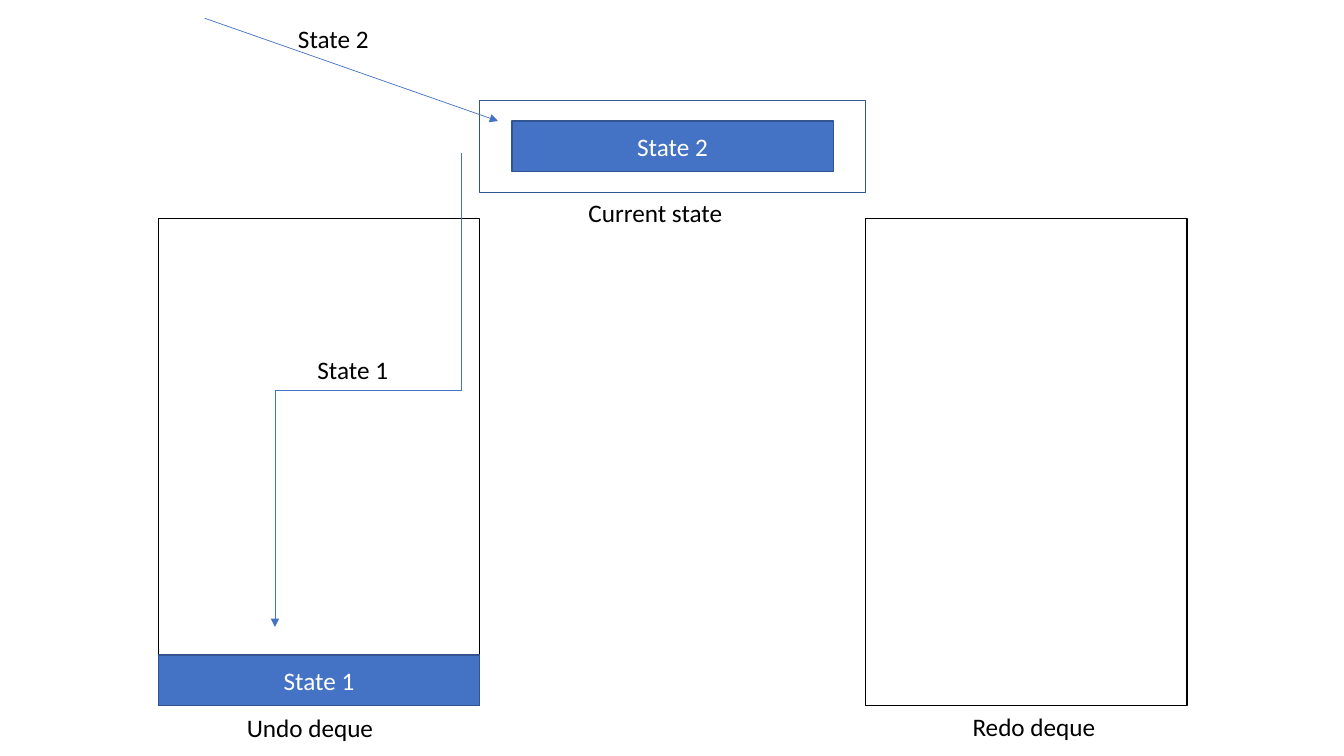
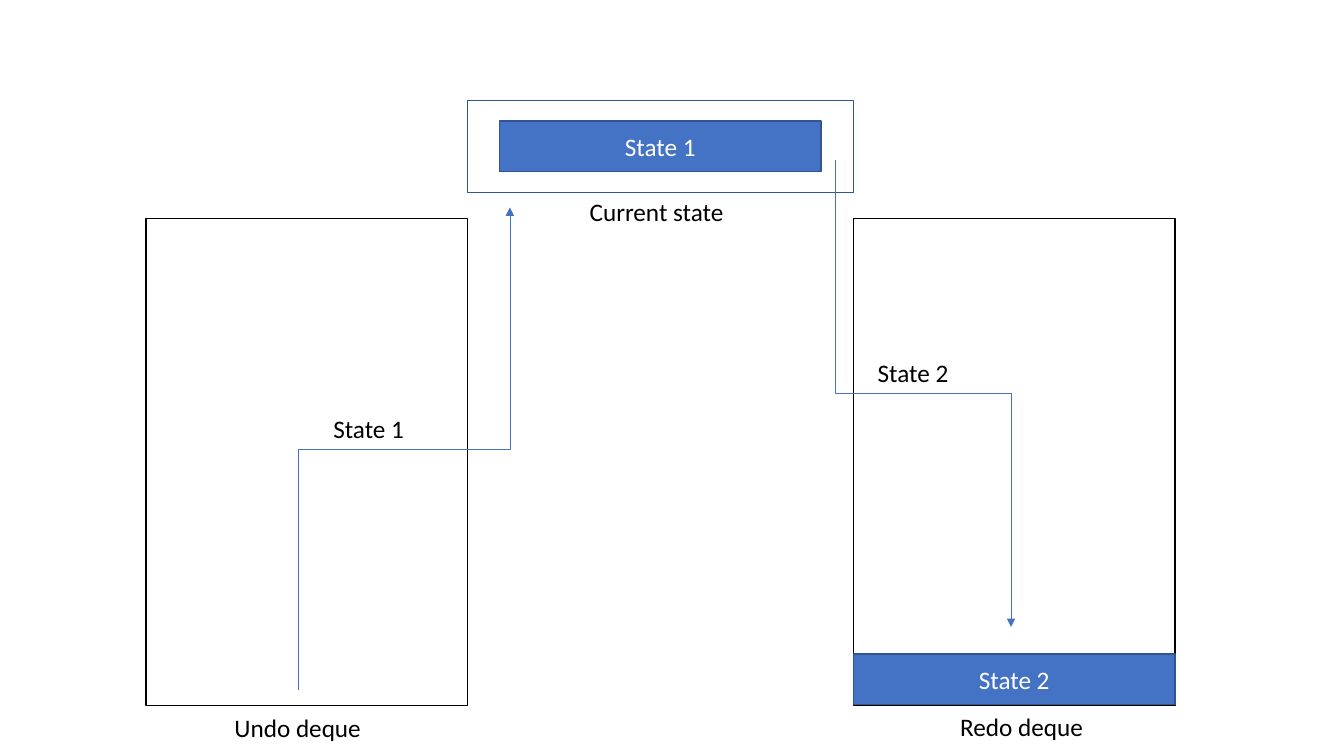
from dataclasses import dataclass

from lxml.etree import SubElement
from pptx import Presentation
from pptx.dml.color import RGBColor
from pptx.enum.shapes import MSO_CONNECTOR, MSO_SHAPE
from pptx.enum.text import MSO_ANCHOR, MSO_AUTO_SIZE, PP_ALIGN
from pptx.oxml.ns import qn
from pptx.util import Cm, Pt


@dataclass(frozen=True)
class Theme:
    """Colours, type and line widths shared by the slides."""
    black: str = "000000"
    white: str = "FFFFFF"
    blue: str = "4472C4"
    navy: str = "325491"
    font: str = "Calibri"
    size: float = 18
    edge: float = 1
    thin: float = 0.5


@dataclass(frozen=True)
class Grid:
    """Sizes and levels of the diagram in centimetres."""
    wide: float = 8.1
    tall: float = 12.27
    top: float = 5.51
    slot: float = 9.73
    inset: float = 0.81
    bar: float = 1.27


THEME = Theme()
GRID = Grid()


def color(code):
    """Turn a hex code into a colour."""
    return RGBColor.from_string(code)


def write(shape, text, ink):
    """Put styled text in a shape."""
    shape.text_frame.text = text
    font = shape.text_frame.paragraphs[0].runs[0].font
    font.name = THEME.font
    font.size = Pt(THEME.size)
    font.color.rgb = color(ink)


def add_box(slide, left, top, width, height, line, fill=None):
    """Draw a rectangle with an outline and an optional fill."""
    box = slide.shapes.add_shape(
        MSO_SHAPE.RECTANGLE, Cm(left), Cm(top), Cm(width), Cm(height))
    box.shadow.inherit = False
    if fill:
        box.fill.solid()
        box.fill.fore_color.rgb = color(fill)
    else:
        box.fill.background()
    box.line.color.rgb = color(line)
    box.line.width = Pt(THEME.edge)
    return box


def add_state(slide, left, top, text):
    """Draw a filled bar that holds a state."""
    bar = add_box(slide, left, top, GRID.wide, GRID.bar, THEME.navy, THEME.blue)
    write(bar, text, THEME.white)
    bar.text_frame.vertical_anchor = MSO_ANCHOR.MIDDLE
    bar.text_frame.paragraphs[0].alignment = PP_ALIGN.CENTER


def add_label(slide, left, top, text):
    """Write a plain label."""
    label = slide.shapes.add_textbox(Cm(left), Cm(top), Cm(5.66), Cm(1.02))
    label.text_frame.word_wrap = True
    label.text_frame.auto_size = MSO_AUTO_SIZE.SHAPE_TO_FIT_TEXT
    write(label, text, THEME.black)


def add_arrow(slide, kind, start, end):
    """Draw a thin connector with an arrowhead at its end."""
    arrow = slide.shapes.add_connector(kind, *map(Cm, start + end))
    arrow.line.color.rgb = color(THEME.blue)
    arrow.line.width = Pt(THEME.thin)
    props = arrow.element.spPr
    SubElement(props.find(qn("a:ln")), qn("a:tailEnd"), type="triangle")
    SubElement(props, qn("a:effectLst"))
    return arrow


def add_bend(slide, start, end):
    """Draw an elbow arrow that leaves and arrives upright."""
    (left, top), (right, low) = start, end
    midx, midy = (left + right) / 2, (top + low) / 2
    halfx, halfy = (right - left) / 2, (low - top) / 2
    arrow = add_arrow(slide, MSO_CONNECTOR.ELBOW,
                      (midx - halfy, midy + halfx),
                      (midx + halfy, midy - halfx))
    arrow.element.spPr.find(qn("a:xfrm")).set("rot", str(90 * 60000))


def add_frame(slide, left):
    """Draw both deques and the current slot; return slot and redo lefts."""
    slot = left + GRID.wide
    redo = slot + GRID.slot
    for side in (left, redo):
        add_box(slide, side, GRID.top, GRID.wide, GRID.tall, THEME.black)
    add_box(slide, slot, 2.54, GRID.slot, 2.31, THEME.navy)
    add_label(slide, left + 1.98, 17.83, "Undo deque")
    add_label(slide, redo + 2.44, 17.81, "Redo deque")
    return slot, redo


def draw_push(slide):
    """Show a new state pushing the old one to undo."""
    left = 3.99
    slot, _ = add_frame(slide, left)
    add_state(slide, left, 16.51, "State 1")
    add_state(slide, slot + GRID.inset, 3.05, "State 2")
    add_bend(slide, (11.63, 3.86), (6.93, 15.8))
    add_arrow(slide, MSO_CONNECTOR.STRAIGHT, (5.16, 0.46), (12.55, 3.05))
    add_label(slide, 7.75, 8.81, "State 1")
    add_label(slide, 7.26, 0.46, "State 2")
    add_label(slide, 14.58, 4.85, "Current state")


def draw_undo(slide):
    """Show undo moving the states towards redo."""
    slot, redo = add_frame(slide, 3.68)
    add_state(slide, slot + GRID.inset, 3.05, "State 1")
    add_state(slide, redo, 16.48, "State 2")
    add_bend(slide, (7.52, 17.4), (12.85, 5.23))
    add_bend(slide, (21.06, 4.04), (25.48, 15.8))
    add_label(slide, 8.15, 10.29, "State 1")
    add_label(slide, 21.87, 8.89, "State 2")
    add_label(slide, 14.61, 4.83, "Current state")


def main():
    """Build and save the slides."""
    deck = Presentation()
    deck.slide_width, deck.slide_height = Cm(33.87), Cm(19.05)
    for draw in (draw_push, draw_undo):
        draw(deck.slides.add_slide(deck.slide_layouts[6]))
    deck.save("out.pptx")


main()
